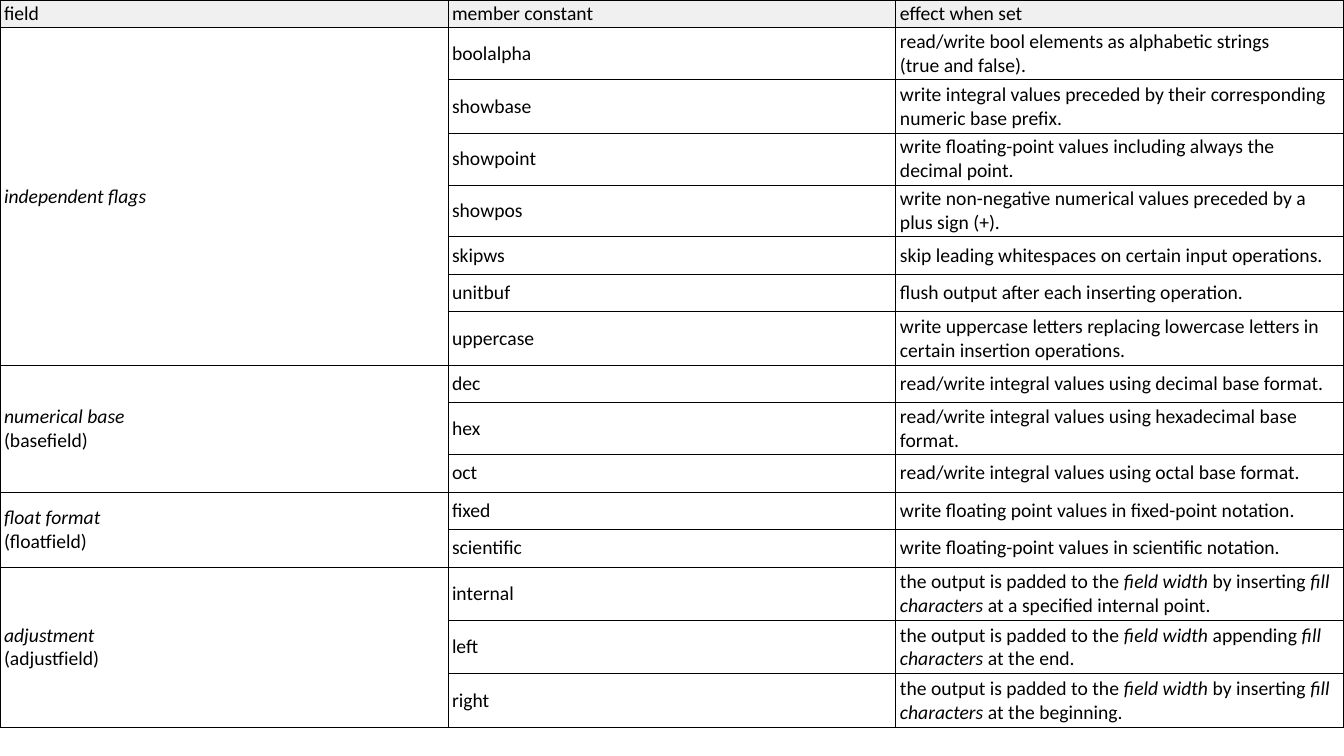
import pptx
import pptx.util
import pptx.dml.color
import pptx.enum.text
import pptx.oxml
import pptx.oxml.ns

Pt = pptx.util.Pt
Color = pptx.dml.color.RGBColor.from_string

# Content: *...* is italic, ~ is a no-break space, \n is a line break
HEAD = ("field", "member constant", "effect when set")
GROUPS = [
    ("*independent flags*", [
        ("boolalpha", "read/write bool elements as alphabetic strings (true~and~false)."),
        ("showbase", "write integral values preceded by their corresponding numeric base prefix."),
        ("showpoint", "write floating-point values including always the decimal point."),
        ("showpos", "write non-negative numerical values preceded by a plus sign (+)."),
        ("skipws", "skip leading whitespaces on certain input operations."),
        ("unitbuf", "flush output after each inserting operation."),
        ("uppercase", "write uppercase letters replacing lowercase letters in certain insertion operations."),
    ]),
    ("*numerical base~*\n(basefield)", [
        ("dec", "read/write integral values using decimal base format."),
        ("hex", "read/write integral values using hexadecimal base format."),
        ("oct", "read/write integral values using octal base format."),
    ]),
    ("*float format~*\n(floatfield)", [
        ("fixed", "write floating point values in fixed-point notation."),
        ("scientific", "write floating-point values in scientific notation."),
    ]),
    ("*adjustment~*\n(adjustfield)", [
        ("internal", "the output is padded to the~*field width*~by inserting~*fill characters*~at a specified internal point."),
        ("left", "the output is padded to the~*field width*~appending~*fill characters*~at the end."),
        ("right", "the output is padded to the~*field width*~by inserting~*fill characters*~at the beginning."),
    ]),
]
TALL = {"showbase", "uppercase", "internal", "left", "right"}

THEME = {"font": "Calibri", "size": 14, "ink": "000000", "head": "F0F0F0",
         "body": "FFFFFF", "line": 0.75}
WIDE, HIGH = 960, 540
DEEP = 517.7
ROW = {"head": 15.1, "low": 26.8, "tall": 38.2}
PAD_X, PAD_Y = 2.9, 1.45


def write(frame, text, font=THEME["font"], size=THEME["size"], ink=THEME["ink"]):
    """Fill a text frame, turning the marks into runs and breaks."""
    para = frame.paragraphs[0]
    for turn, part in enumerate(text.replace("~", "\u00a0").split("*")):
        for line, words in enumerate(part.split("\n")):
            if line:
                para.add_line_break()
            if words:
                run = para.add_run()
                run.text = words
                run.font.name, run.font.size = font, Pt(size)
                run.font.italic = turn % 2 == 1
                run.font.color.rgb = Color(ink)


def style(cell, fill):
    """Set the fill, margins, anchor and four borders of a cell."""
    cell.fill.solid()
    cell.fill.fore_color.rgb = Color(fill)
    cell.margin_left = cell.margin_right = Pt(PAD_X)
    cell.margin_top = cell.margin_bottom = Pt(PAD_Y)
    cell.vertical_anchor = pptx.enum.text.MSO_ANCHOR.MIDDLE
    props = cell._tc.get_or_add_tcPr()
    for place, side in enumerate("LRTB"):
        props.insert(place, pptx.oxml.parse_xml(
            f'<a:ln{side} {pptx.oxml.ns.nsdecls("a")} w="{Pt(THEME["line"])}">'
            f'<a:solidFill><a:srgbClr val="{THEME["ink"]}"/></a:solidFill></a:ln{side}>'))


# Slide
deck = pptx.Presentation()
deck.slide_width, deck.slide_height = Pt(WIDE), Pt(HIGH)
slide = deck.slides.add_slide(deck.slide_layouts[6])

# Table rows and columns
flags = [flag for _, group in GROUPS for flag in group]
shape = slide.shapes.add_table(len(flags) + 1, len(HEAD), 0, 0, Pt(WIDE), Pt(DEEP))
table = shape.table
table.first_row = table.horz_banding = False
for col in table.columns:
    col.width = Pt(WIDE / len(HEAD))
sizes = ["head"] + ["tall" if name in TALL else "low" for name, _ in flags]
for row, (kind, line) in enumerate(zip(sizes, table.rows)):
    line.height = Pt(ROW[kind])
    for cell in line.cells:
        style(cell, THEME["body"] if row else THEME["head"])
shape.height = Pt(DEEP)

# Header and flags
for col, text in enumerate(HEAD):
    write(table.cell(0, col).text_frame, text)
for row, flag in enumerate(flags, 1):
    for col, text in enumerate(flag, 1):
        write(table.cell(row, col).text_frame, text)

# Field names, each merged down its group
top = 1
for field, group in GROUPS:
    cell = table.cell(top, 0)
    cell.merge(table.cell(top + len(group) - 1, 0))
    write(cell.text_frame, field)
    top += len(group)

deck.save("out.pptx")
